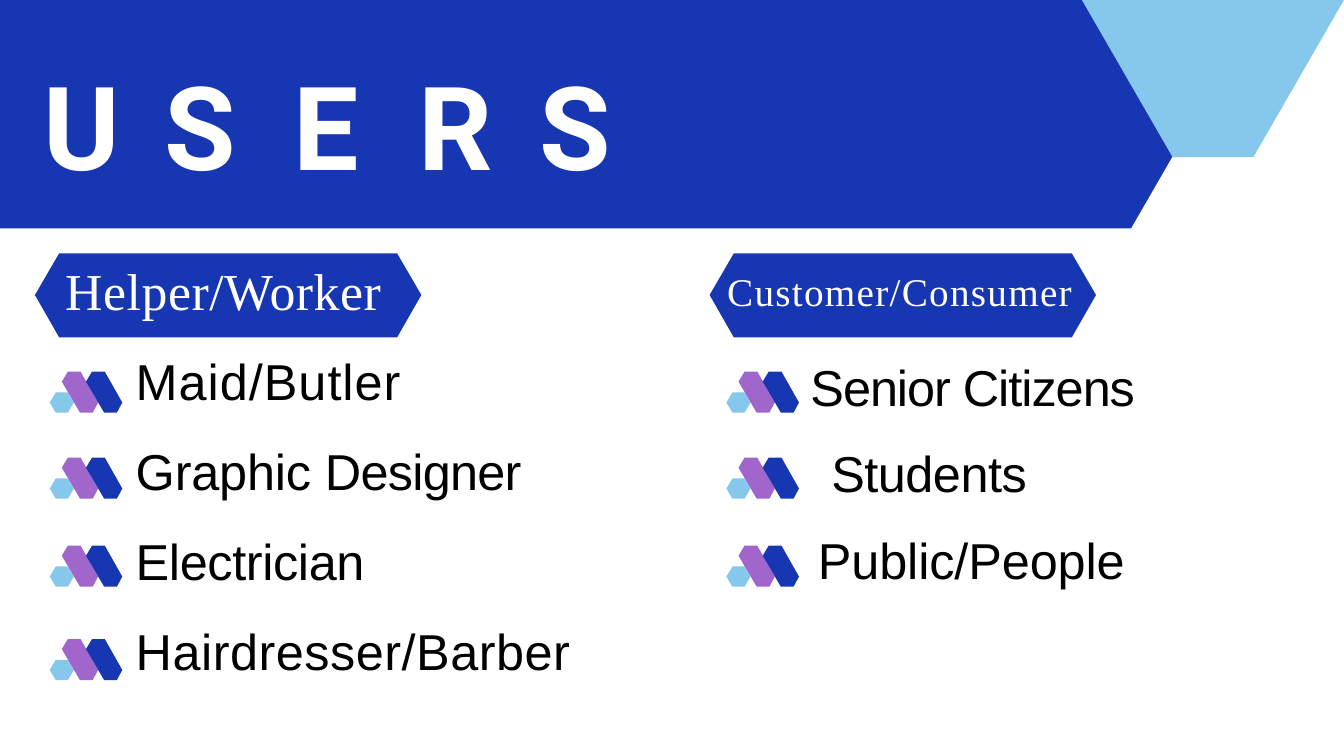
from pptx import Presentation
from pptx.dml.color import RGBColor as RGB
from pptx.util import Inches, Pt

BLUE, SKY, PURPLE = "1736B1", "86C7EC", "A066CB"
WHITE, BLACK = "FFFFFF", "000000"
SERIF, SANS = "Times New Roman", "Arial"

ICON_TOPS = (5.53, 6.81, 8.12, 9.51)
HEXAGON = [(0.09, 0.31), (0.27, 0.31), (0.36, 0.46),
           (0.27, 0.61), (0.09, 0.61), (0, 0.46)]
SLANT = [(0.27, 0), (0.46, 0), (0.72, 0.46),
         (0.64, 0.61), (0.45, 0.61), (0.18, 0.15)]
LABEL = [(0.36, 0), (5.39, 0), (5.75, 0.62),
         (5.39, 1.25), (0.36, 1.25), (0, 0.62)]


def paint(fill, color):
    fill.solid()
    fill.fore_color.rgb = RGB.from_string(color)


def add_shape(shapes, points, color, left=0, top=0):
    """Draw a closed outline, its points given from (left, top)."""
    spots = [(Inches(left + x), Inches(top + y)) for x, y in points]
    pen = shapes.build_freeform(*spots[0])
    pen.add_line_segments(spots[1:], close=True)
    shape = pen.convert_to_shape()
    shape.shadow.inherit = False
    paint(shape.fill, color)
    shape.line.fill.background()


def add_icon(slide, left, top):
    shapes = slide.shapes.add_group_shape().shapes
    add_shape(shapes, HEXAGON, SKY, left, top)
    add_shape(shapes, SLANT, PURPLE, left, top)
    add_shape(shapes, SLANT, BLUE, left + 0.36, top)


def add_box(slide, left, top, width, height, inset):
    box = slide.shapes.add_textbox(*map(Inches, (left, top, width, height)))
    frame = box.text_frame
    frame.word_wrap = True
    frame.margin_left = frame.margin_right = frame.margin_bottom = 0
    frame.margin_top = Inches(inset)
    return frame


def add_run(para, text, size, font, color, gap, bold=False):
    """Add a run whose letters are spaced by gap points."""
    run = para.add_run()
    run.text = text
    run.font.size = Pt(size)
    run.font.name = font
    run.font.bold = bold
    paint(run.font.fill, color)
    run.font._element.set("spc", str(round(gap * 100)))


def add_item(frame, indent, pitch, runs):
    para = frame.add_paragraph()
    para.line_spacing = Pt(pitch)
    para._p.get_or_add_pPr().set("marL", str(Inches(indent)))
    for text, gap in runs:
        add_run(para, text, 54, SANS, BLACK, gap)
    return para


def add_title(slide):
    para = add_box(slide, 0.64, 0.79, 8.72, 2.1, 0.02).paragraphs[0]
    for text, gap in (("U ", 8.8), ("S ", 15.3), ("E ", 16.4),
                      ("R ", 9.5), ("S", 0)):
        add_run(para, text, 124.5, "Roboto", WHITE, gap, True)


def add_helpers(slide):
    frame = add_box(slide, 0.97, 3.3, 7.58, 6.9, 0.13)
    head = frame.paragraphs[0]
    head.line_spacing = Pt(96.4)
    add_run(head, "Helper/Worker", 55.5, SERIF, WHITE, 0.6)
    for runs in ([("Maid/Butler", 1.1)],
                 [("Graphic ", -0.2), ("Designer", -0.8)],
                 [("Electrician", -0.4)],
                 [("Hairdresser/Barber", 0.6)]):
        add_item(frame, 1.05, 96.4, runs)


def add_customers(slide):
    frame = add_box(slide, 10.82, 3.96, 6.09, 4.85, 0.02)
    add_run(frame.paragraphs[0], "Customer/Consumer", 42, SERIF, WHITE, 1.4)
    rows = (("Senior Citizens", 1.24, -1.1), ("Students", 1.55, -0.5),
            ("Public/People", 1.35, -0.1))
    items = [add_item(frame, indent, 92.6, [(text, gap)])
             for text, indent, gap in rows]
    items[0].space_before = Pt(16.5)


def main():
    deck = Presentation()
    deck.slide_width, deck.slide_height = Inches(20), Inches(11.25)
    slide = deck.slides.add_slide(deck.slide_layouts[6])
    paint(slide.background.fill, WHITE)

    add_shape(slide.shapes, [(0, 0), (18.79, 0), (16.83, 3.4), (0, 3.4)], BLUE)
    add_shape(slide.shapes,
              [(16.1, 0), (20, 0), (18.65, 2.34), (17.45, 2.34)], SKY)
    add_title(slide)
    for label, icon, tops in ((0.52, 0.74, ICON_TOPS),
                              (10.56, 10.81, ICON_TOPS[:3])):
        add_shape(slide.shapes, LABEL, BLUE, label, 3.77)
        for top in tops:
            add_icon(slide, icon, top)
    add_helpers(slide)
    add_customers(slide)
    deck.save("out.pptx")


if __name__ == "__main__":
    main()
